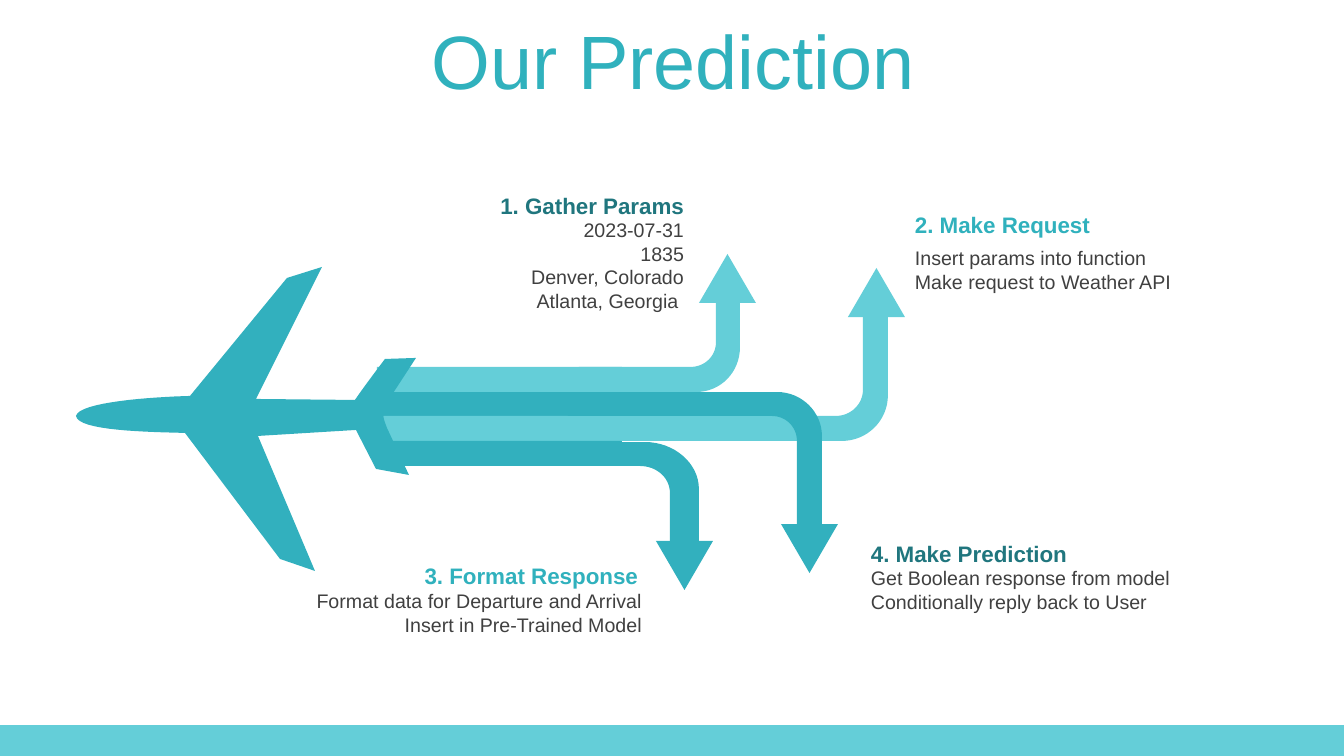
"""Build the "Our Prediction" slide: an aeroplane trailing four step arrows."""
import pptx
import pptx.dml.color
import pptx.enum.shapes
import pptx.enum.text
import pptx.util

EMU_PER_PX = 914400 / 100.8
FONT = "Arial"
LIGHT, TEAL, TITLE, DARK, GREY = "64CED8", "32B0BE", "30B1BD", "20767E", "404040"
SHAPES = pptx.enum.shapes.MSO_SHAPE
ALIGN = pptx.enum.text.PP_ALIGN


def px(*lengths):
    return [round(length * EMU_PER_PX) for length in lengths]


def paint(fill, color):
    fill.solid()
    fill.fore_color.rgb = pptx.dml.color.RGBColor.from_string(color)


presentation = pptx.Presentation()
presentation.slide_width, presentation.slide_height = px(1344, 756)
slide = presentation.slides.add_slide(presentation.slide_layouts[6])

rectangles = [(0, 725, 1344, 31, LIGHT)]
stripe_edges = [367, 392, 416, 441, 466]
for index, (top, bottom) in enumerate(zip(stripe_edges, stripe_edges[1:])):
    rectangles.append((377, top, 245, bottom - top, (LIGHT, TEAL)[index % 2]))
for left, top, width, height, color in rectangles:
    rectangle = slide.shapes.add_shape(SHAPES.RECTANGLE, *px(left, top, width, height))
    paint(rectangle.fill, color)

# Two numbers are a corner; six are a Bezier curve from the point before.
format_bend = [(699, 489), (699, 550), (670, 550), (670, 493), (670, 478, 657, 466, 640, 466),
               (607, 466), (607, 442), (645, 442), (674, 442, 699, 463, 699, 489)]
gather_bend = [(740, 298), (740, 347), (740, 372, 721, 392, 696, 392), (579, 392),
               (579, 367), (690, 367), (705, 367, 716, 356, 716, 342), (716, 298)]
request_bend = [(888, 294), (888, 395), (888, 421, 867, 441, 842, 441), (621, 441),
                (621, 416), (836, 416), (851, 416, 863, 404, 863, 390), (863, 294)]
prediction_bend = [(822, 535), (822, 436), (822, 412, 802, 392, 777, 392), (568, 392),
                   (568, 416), (772, 416), (786, 416, 797, 427, 797, 441), (797, 535)]
aeroplane = [(416, 358), (386, 404), (382, 416, 383, 417, 387, 428), (409, 475), (376, 469),
             (356, 430), (258, 436), (315, 571), (280, 559), (185, 433),
             (149, 432, 78, 431, 76, 416), (79, 402, 152, 397, 190, 396), (287, 278),
             (322, 267), (256, 399), (355, 400), (363, 388, 385, 359, 385, 359)]
outlines = [(format_bend, TEAL), (gather_bend, LIGHT), (request_bend, LIGHT),
            (prediction_bend, TEAL), (aeroplane, TEAL)]
for segments, color in outlines:
    points = [segments[0]]
    for segment in segments[1:]:
        if len(segment) == 2:
            points.append(segment)
            continue
        x0, y0 = points[-1]
        x1, y1, x2, y2, x3, y3 = segment
        for step in range(1, 17):
            t = step / 16
            a, b, c, d = (1 - t) ** 3, 3 * t * (1 - t) ** 2, 3 * t * t * (1 - t), t ** 3
            points.append((a * x0 + b * x1 + c * x2 + d * x3, a * y0 + b * y1 + c * y2 + d * y3))
    builder = slide.shapes.build_freeform(*px(*points[0]))
    builder.add_line_segments([px(*point) for point in points[1:]], close=True)
    paint(builder.convert_to_shape().fill, color)

arrowheads = [(781, 524, 180, TEAL), (656, 541, 180, TEAL), (699, 254, 0, LIGHT), (848, 268, 0, LIGHT)]
for left, top, rotation, color in arrowheads:
    arrowhead = slide.shapes.add_shape(SHAPES.ISOSCELES_TRIANGLE, *px(left, top, 57, 49))
    arrowhead.rotation = rotation
    paint(arrowhead.fill, color)

for shape in slide.shapes:
    shape.shadow.inherit = False
    shape.line.fill.background()

texts = [
    (35, 25, 1276, 80, ALIGN.CENTER, 54, False, TITLE, ["Our Prediction"]),
    (861, 561, 389, 57, ALIGN.LEFT, 14, False, GREY,
     ["Get Boolean response from model", "Conditionally reply back to User"]),
    (861, 535, 389, 37, ALIGN.LEFT, 16, True, DARK, ["4. Make Prediction"]),
    (905, 241, 389, 57, ALIGN.LEFT, 14, False, GREY,
     ["Insert params into function", "Make request to Weather API"]),
    (905, 206, 389, 37, ALIGN.LEFT, 16, True, TITLE, ["2. Make Request"]),
    (309, 213, 385, 105, ALIGN.RIGHT, 14, False, GREY,
     ["2023-07-31", "1835", "Denver, Colorado", "Atlanta, Georgia "]),
    (309, 187, 385, 37, ALIGN.RIGHT, 16, True, DARK, ["1. Gather Params"]),
    (267, 584, 385, 57, ALIGN.RIGHT, 14, False, GREY,
     ["Format data for Departure and Arrival", "Insert in Pre-Trained Model"]),
    (263, 557, 385, 37, ALIGN.RIGHT, 16, True, TITLE, ["3. Format Response"]),
]
for left, top, width, height, alignment, size, bold, color, lines in texts:
    frame = slide.shapes.add_textbox(*px(left, top, width, height)).text_frame
    frame.word_wrap = True
    for index, line in enumerate(lines):
        paragraph = frame.add_paragraph() if index else frame.paragraphs[0]
        paragraph.alignment = alignment
        run = paragraph.add_run()
        run.text = line
        run.font.name, run.font.size, run.font.bold = FONT, pptx.util.Pt(size), bold
        paint(run.font.fill, color)
    if alignment == ALIGN.CENTER:
        frame.vertical_anchor = pptx.enum.text.MSO_ANCHOR.MIDDLE
        paragraph.line_spacing = 0.9
        paragraph.space_before = pptx.util.Pt(10)
    else:
        frame.auto_size = pptx.enum.text.MSO_AUTO_SIZE.SHAPE_TO_FIT_TEXT

presentation.save("out.pptx")
